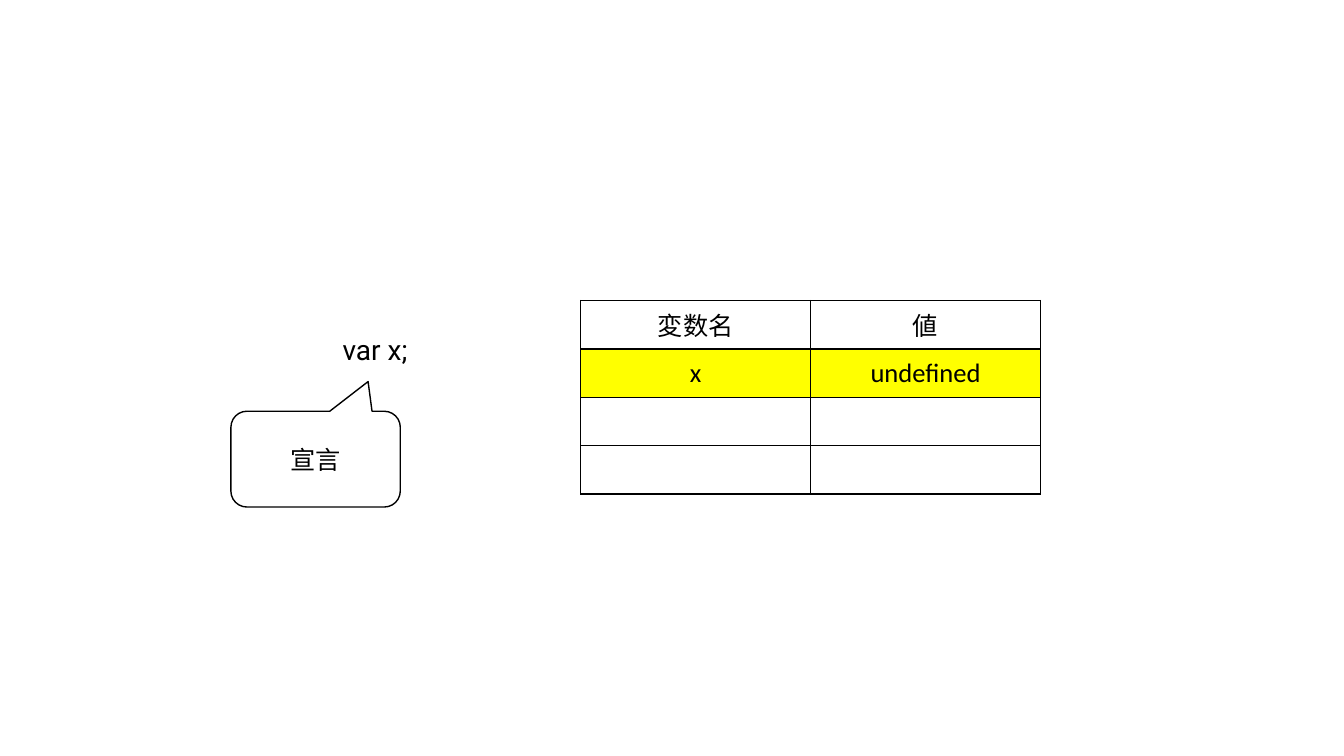
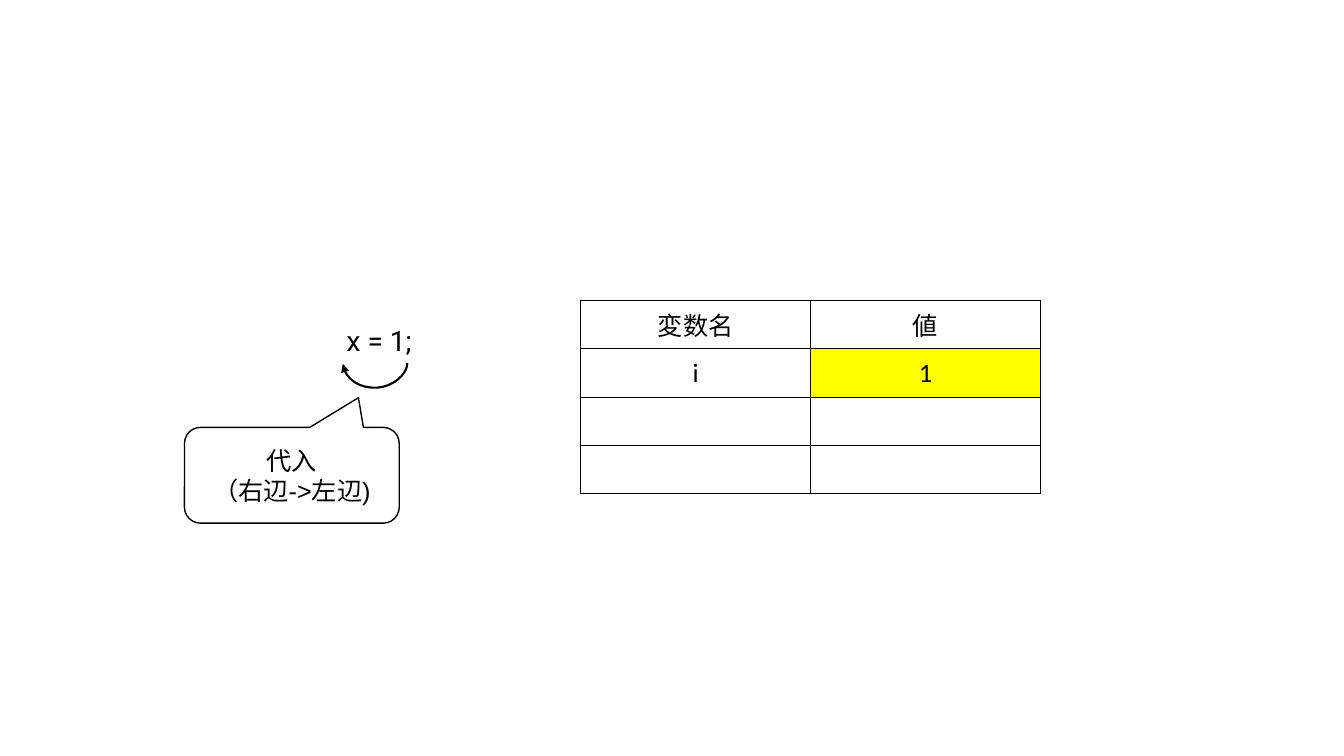
from lxml.etree import SubElement
from pptx import Presentation
from pptx.dml.color import RGBColor
from pptx.enum.shapes import MSO_CONNECTOR, MSO_SHAPE
from pptx.enum.text import MSO_ANCHOR, PP_ALIGN
from pptx.oxml.ns import qn
from pptx.util import Inches, Pt

INK, MARK = "000000", "FFFF00"
ROWS, COLS = 4, 2
HEAD = ("変数名", "値")


def tint(code):
    """Return the colour for a hex string."""
    return RGBColor.from_string(code)


def write(frame, text, size, font):
    """Fill a text frame with centred lines in one font."""
    frame.text = text
    for para in frame.paragraphs:
        para.alignment = PP_ALIGN.CENTER
        para.font.size = Pt(size)
        para.font.name = font
        para.font.color.rgb = tint(INK)


def stroke(shape, width):
    """Give a shape or connector an ink line."""
    shape.line.color.rgb = tint(INK)
    shape.line.width = Pt(width)


def edge(cell):
    """Draw the four borders of a cell."""
    props = cell._tc.get_or_add_tcPr()
    for side in ("lnL", "lnR", "lnT", "lnB"):
        line = SubElement(props, qn(f"a:{side}"), w=str(Pt(1)))
        fill = SubElement(line, qn("a:solidFill"))
        SubElement(fill, qn("a:srgbClr"), val=INK)


def add_vars(slide, box, entry, marks):
    """Place the table of variables, marking columns of its first entry."""
    frame = slide.shapes.add_table(ROWS, COLS, *map(Inches, box))
    table = frame.table
    table.first_row = table.horz_banding = False
    texts = {0: HEAD, 1: entry}
    for row in range(ROWS):
        for col in range(COLS):
            cell = table.cell(row, col)
            cell.vertical_anchor = MSO_ANCHOR.MIDDLE
            cell.margin_left = cell.margin_right = Inches(0.11)
            cell.margin_top = cell.margin_bottom = Inches(0.06)
            edge(cell)
            if row == 1 and col in marks:
                cell.fill.solid()
                cell.fill.fore_color.rgb = tint(MARK)
            else:
                cell.fill.background()
            if row in texts:
                write(cell.text_frame, texts[row][col], 19 if row else 18, "Calibri")


def add_code(slide, box, text):
    """Place one line of code."""
    label = slide.shapes.add_textbox(*map(Inches, box))
    label.text_frame.word_wrap = False
    write(label.text_frame, text, 20, "Roboto")


def add_note(slide, box, text, font):
    """Place a callout whose tip points up at the code."""
    note = slide.shapes.add_shape(
        MSO_SHAPE.ROUNDED_RECTANGULAR_CALLOUT, *map(Inches, box))
    note.shadow.inherit = False
    note.fill.background()
    stroke(note, 1)
    for index, value in enumerate((0.31, -0.81, 0.167)):
        note.adjustments[index] = value
    note.text_frame.vertical_anchor = MSO_ANCHOR.MIDDLE
    write(note.text_frame, text, 18, font)


def add_arc(slide, box):
    """Place an arrow that sags from the right end of a box to its left."""
    left, top, width, drop = box
    thin = 0.01
    x = left + (width - thin) / 2
    y = top - (width - thin) / 2
    arc = slide.shapes.add_connector(
        MSO_CONNECTOR.CURVE, *map(Inches, (x, y, x + thin, y + width)))
    stroke(arc, 1.5)
    SubElement(arc.line._get_or_add_ln(), qn("a:tailEnd"), type="triangle")
    props = arc._element.spPr
    SubElement(props, qn("a:effectLst"))
    props.find(qn("a:xfrm")).set("rot", "5400000")
    guides = props.find(qn("a:prstGeom")).find(qn("a:avLst"))
    bend = round(drop / thin * 100000)
    SubElement(guides, qn("a:gd"), name="adj1", fmla=f"val {bend}")


def add_step(deck, code, spot, note, entry, marks):
    """Add a slide with code, its callout and the state of the variables."""
    slide = deck.slides.add_slide(deck.slide_layouts[6])
    add_vars(slide, (5.76, 2.98, 4.56, 1.92), entry, marks)
    add_code(slide, spot, code)
    add_note(slide, *note)
    return slide


def main():
    """Build and save the deck."""
    deck = Presentation()
    deck.slide_width, deck.slide_height = Inches(13.33), Inches(7.5)
    add_step(deck, "var x;", (3.25, 3.25, 0.94, 0.44),
             ((2.29, 4.08, 1.68, 0.95), "宣言", "Calibri"),
             ("x", "undefined"), (0, 1))
    slide = add_step(deck, "x = 1;", (2.92, 3.16, 1.68, 0.44),
                     ((1.83, 4.24, 2.13, 0.95), "代入\n（右辺->左辺)", "Arial"),
                     ("i", "1"), (1,))
    add_arc(slide, (3.4, 3.6, 0.64, 0.25))
    deck.save("out.pptx")


if __name__ == "__main__":
    main()
